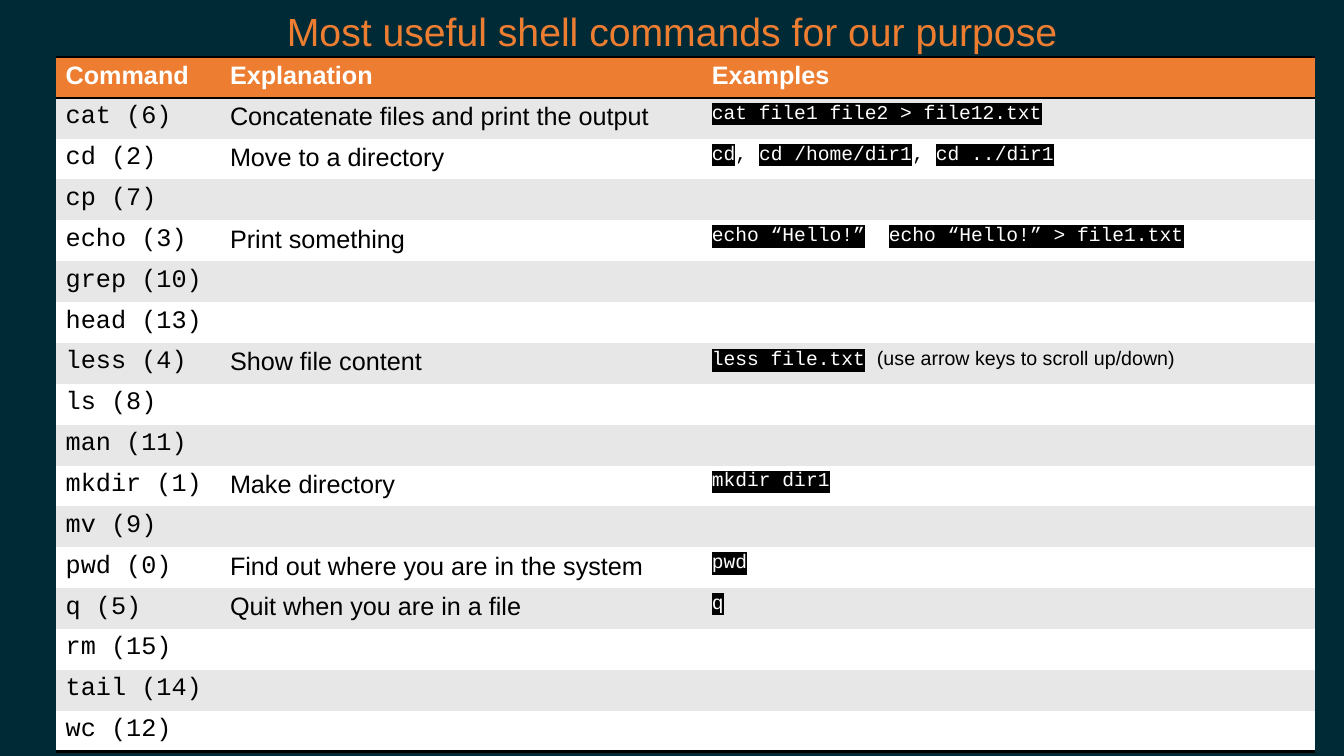
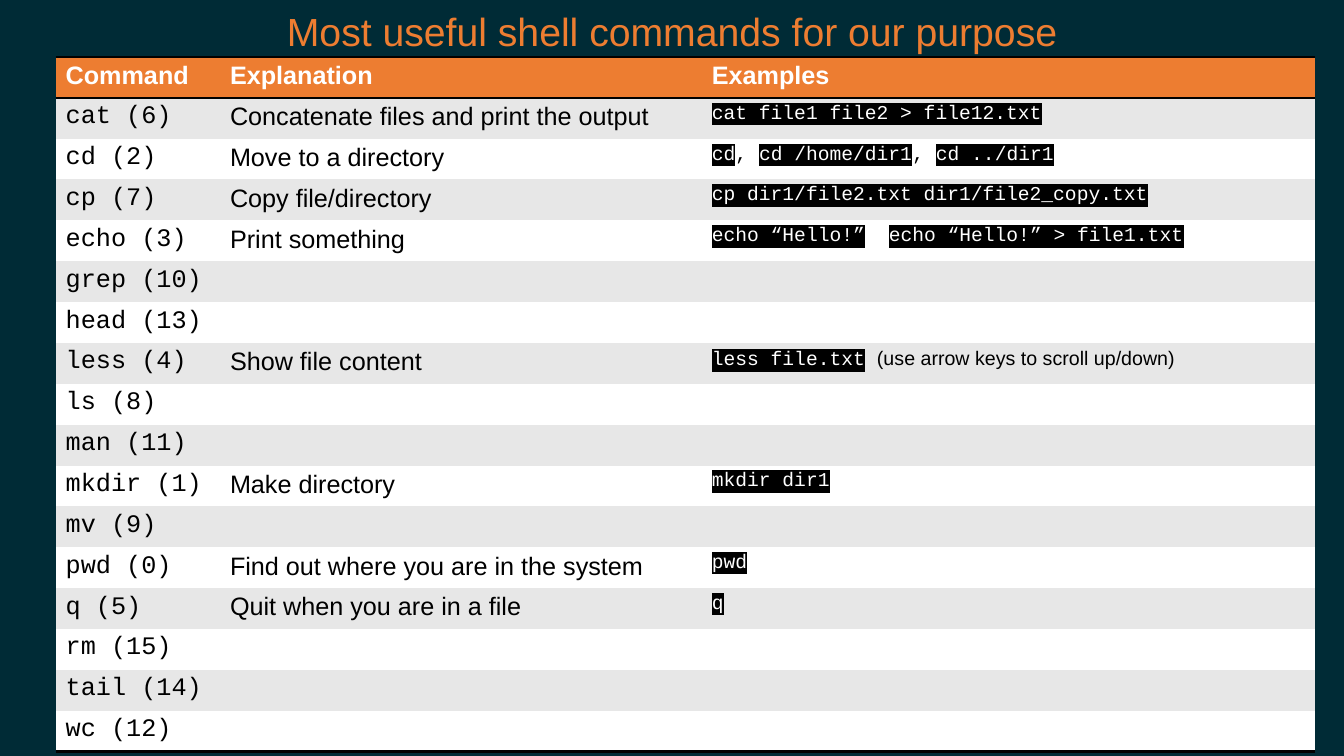
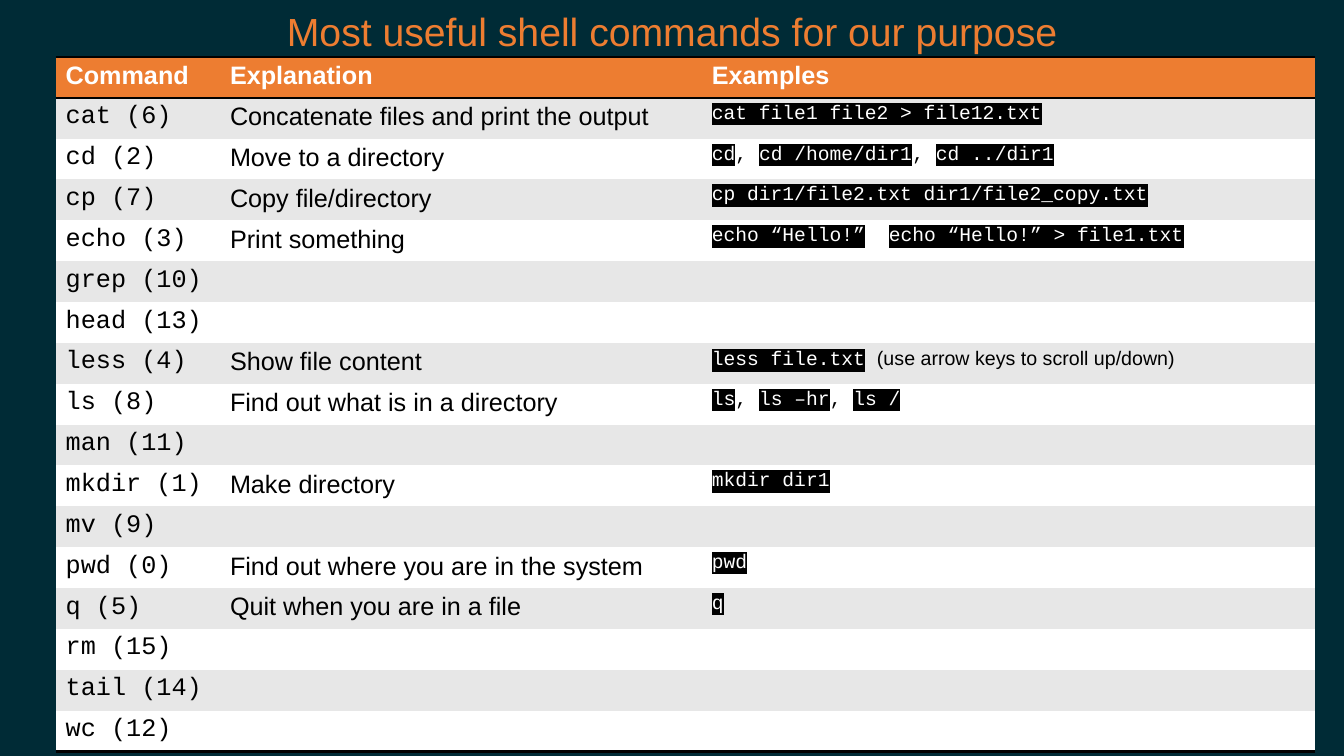
from lxml import etree
from pptx import Presentation
from pptx.dml.color import RGBColor
from pptx.enum import text as t
from pptx.oxml import ns
from pptx.util import Pt

NAVY = RGBColor(0x00, 0x2B, 0x36)
ORANGE = RGBColor(0xED, 0x7D, 0x31)
GREY = RGBColor(0xE7, 0xE7, 0xE7)
WHITE = RGBColor(0xFF, 0xFF, 0xFF)
BLACK = RGBColor(0x00, 0x00, 0x00)

SANS, MONO = "Arial", "Courier New"
PLAIN_TABLE = "{2D5ABB26-0587-4C30-8999-92F81FD0307C}"

# Text styles: font, size, colour, bold, highlight
HEAD = (SANS, 18, WHITE, True, None)
NAME = (MONO, 18, BLACK, False, None)
BODY = (SANS, 18, BLACK, False, None)
CODE = (MONO, 14, WHITE, False, BLACK)
COMMA = (MONO, 14, BLACK, False, None)
PALE = (MONO, 14, WHITE, False, None)
NOTE = (SANS, 14, BLACK, False, None)

# Boxes: left, top, width, height
PAGE = (960, 540)
TITLE_BOX = (0, 1.4, 960, 41)
TABLE_BOX = (39.7, 40.7, 899.3, 496.1)
COLS = (117.4, 344.2, 437.7)

TITLE = "Most useful shell commands for our purpose"
HEADS = ("Command", "Explanation", "Examples")


def codes(*words, gap=COMMA):
    """Highlighted commands with commas between them."""
    runs = []
    for word in words:
        if runs:
            runs.append((", ", gap))
        runs.append((word, CODE))
    return runs


# Command, explanation, example runs
ROWS = (
    ("cat (6)", "Concatenate files and print the output",
     codes("cat file1 file2 > file12.txt")),
    ("cd (2)", "Move to a directory",
     codes("cd", "cd /home/dir1", "cd ../dir1")),
    ("cp (7)", "Copy file/directory",
     codes("cp dir1/file2.txt dir1/file2_copy.txt")),
    ("echo (3)", "Print something",
     codes("echo “Hello!”", "echo “Hello!” > file1.txt", gap=PALE)),
    ("grep (10)", "", []),
    ("head (13)", "", []),
    ("less (4)", "Show file content",
     codes("less file.txt")
     + [(" ", PALE), ("(use arrow keys to scroll up/down)", NOTE)]),
    ("ls (8)", "Find out what is in a directory",
     codes("ls", "ls –hr", "ls /")),
    ("man (11)", "", []),
    ("mkdir (1)", "Make directory", codes("mkdir dir1")),
    ("mv (9)", "", []),
    ("pwd (0)", "Find out where you are in the system", codes("pwd")),
    ("q (5)", "Quit when you are in a file", codes("q")),
    ("rm (15)", "", []),
    ("tail (14)", "", []),
    ("wc (12)", "", []),
)

# Commands still unanswered on each slide
HIDDEN = (("cp (7)", "ls (8)"), ("ls (8)",), ())


def add_color(parent, tag, color):
    node = etree.SubElement(parent, ns.qn(tag))
    etree.SubElement(node, ns.qn("a:srgbClr"), val=str(color))
    return node


def style_run(run, style):
    font, size, color, bold, mark = style
    run.font.name, run.font.size, run.font.bold = font, Pt(size), bold
    run.font.color.rgb = color
    if mark is not None:
        props = run.font._element
        node = add_color(props, "a:highlight", mark)
        props.find(ns.qn("a:solidFill")).addnext(node)


def fill_cell(cell, runs, color, edges):
    # Borders come before the fill in the cell properties
    props = cell._tc.get_or_add_tcPr()
    for edge in edges:
        line = etree.SubElement(props, ns.qn(edge), w=str(Pt(2)))
        add_color(line, "a:solidFill", BLACK)
    cell.fill.solid()
    cell.fill.fore_color.rgb = color
    for words, style in runs:
        run = cell.text_frame.paragraphs[0].add_run()
        run.text = words
        style_run(run, style)


def set_base(prs):
    """Background and title place shared by all slides."""
    prs.slide_width, prs.slide_height = map(Pt, PAGE)
    back = prs.slide_master.background.fill
    back.solid()
    back.fore_color.rgb = NAVY
    layout = prs.slide_layouts.get_by_name("Title Only")
    title = layout.placeholders[0]
    title.left, title.top, title.width, title.height = map(Pt, TITLE_BOX)
    return layout


def add_title(slide):
    frame = slide.shapes.title.text_frame
    frame.text = TITLE
    frame.word_wrap = True
    frame.auto_size = t.MSO_AUTO_SIZE.NONE
    frame.vertical_anchor = t.MSO_ANCHOR.TOP
    para = frame.paragraphs[0]
    para.alignment = t.PP_ALIGN.CENTER
    style_run(para.runs[0], (SANS, 28, ORANGE, False, None))


def add_grid(slide, box, hidden):
    # Header line, then the commands with the hidden answers left empty
    lines = [[[(head, HEAD)] for head in HEADS]]
    for name, words, runs in ROWS:
        shown = name not in hidden
        lines.append([[(name, NAME)],
                      [(words, BODY)] if words and shown else [],
                      runs if shown else []])

    frame = slide.shapes.add_table(len(lines), len(COLS), *map(Pt, box))
    table = frame.table
    table.first_row = True
    table.horz_banding = False
    table._tbl.tblPr.find(ns.qn("a:tableStyleId")).text = PLAIN_TABLE
    for col, width in zip(table.columns, COLS):
        col.width = Pt(width)

    last = len(lines) - 1
    for i, line in enumerate(lines):
        table.rows[i].height = Pt(box[3] / len(lines))
        color = ORANGE if i == 0 else GREY if i % 2 else WHITE
        edges = {0: ("a:lnT", "a:lnB"), last: ("a:lnB",)}.get(i, ())
        for j, runs in enumerate(line):
            fill_cell(table.cell(i, j), runs, color, edges)


def main():
    prs = Presentation()
    layout = set_base(prs)
    for hidden in HIDDEN:
        slide = prs.slides.add_slide(layout)
        add_title(slide)
        add_grid(slide, TABLE_BOX, hidden)
    prs.save("out.pptx")


if __name__ == "__main__":
    main()
